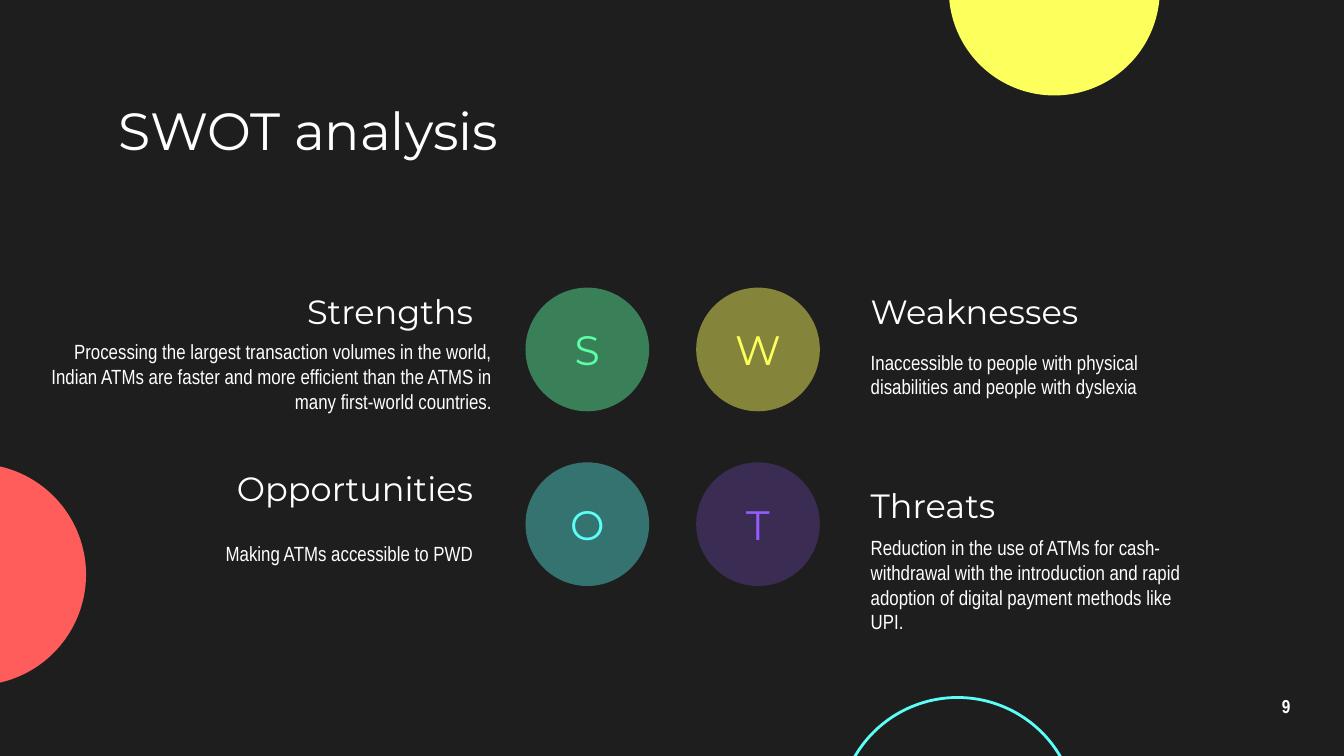
"""Build a SWOT analysis slide with four lettered circles and their notes."""
from lxml import etree
from pptx import Presentation
from pptx.dml.color import RGBColor
from pptx.enum.shapes import MSO_SHAPE
from pptx.enum.text import MSO_ANCHOR, MSO_AUTO_SIZE, PP_ALIGN
from pptx.oxml.ns import qn
from pptx.util import Inches, Pt

OVAL = MSO_SHAPE.OVAL
MIDDLE = MSO_ANCHOR.MIDDLE
NO_AUTOFIT = MSO_AUTO_SIZE.NONE
LEFT, CENTER, RIGHT = PP_ALIGN.LEFT, PP_ALIGN.CENTER, PP_ALIGN.RIGHT

DARK = RGBColor(0x1E, 0x1E, 0x1E)
WHITE = RGBColor(0xFF, 0xFF, 0xFF)
YELLOW = RGBColor(0xFD, 0xFF, 0x5C)
RED = RGBColor(0xFF, 0x5C, 0x5C)
CYAN = RGBColor(0x5C, 0xFF, 0xF8)
GREEN = RGBColor(0x5C, 0xFF, 0xA6)
PURPLE = RGBColor(0x95, 0x5C, 0xFF)

HEADING_FONT = "Montserrat"
BODY_FONT = "Arial Narrow"

TITLE = "SWOT analysis"
PAGE_NUMBER = "9"

DECORATIONS = [
    {"box": (7.06, -0.86, 1.57, 1.57), "fill": YELLOW},
    {"box": (-1.01, 3.45, 1.65, 1.65), "fill": RED},
    {"box": (6.24, 5.19, 1.77, 1.77), "outline": CYAN},
]

QUADRANTS = [
    {"heading": "Strengths", "color": GREEN, "opacity": 44,
     "heading_top": 2.14, "note_box": (0.22, 2.42, 3.54, 0.76),
     "note": "Processing the largest transaction volumes in the world, Indian ATMs are "
             "faster and more efficient than the ATMS in many first-world countries."},
    {"heading": "Weaknesses", "color": YELLOW, "opacity": 46,
     "heading_top": 2.14, "note_box": (6.38, 2.43, 2.51, 0.71),
     "note": "Inaccessible to people with physical disabilities and people with dyslexia"},
    {"heading": "Opportunities", "color": CYAN, "opacity": 38,
     "heading_top": 3.46, "note_box": (1.11, 3.65, 2.51, 0.94),
     "note": "Making ATMs accessible to PWD"},
    {"heading": "Threats", "color": PURPLE, "opacity": 24,
     "heading_top": 3.58, "note_box": (6.38, 3.8, 2.51, 1.1),
     "note": "Reduction in the use of ATMs for cash-withdrawal with the introduction and "
             "rapid adoption of digital payment methods like UPI."},
]

SLIDE_WIDTH = Inches(10)
SLIDE_HEIGHT = SLIDE_WIDTH * 9 // 16
CIRCLE_LEFT, CIRCLE_TOP, CIRCLE_SIZE = 3.91, 2.14, 0.92
COLUMN_STEP, ROW_STEP = 1.27, 1.3
HEADING_LEFTS = (1.11, 6.38)
HEADING_WIDTH, HEADING_HEIGHT = 2.51, 0.35
SIDE_ALIGNS = (RIGHT, LEFT)


def inches(box):
    return [Inches(length) for length in box]


def write(shape, text, *, font, size, color=WHITE, align=LEFT, bold=False,
          spacing=None, inset=0.1):
    frame = shape.text_frame
    frame.word_wrap = True
    frame.auto_size = NO_AUTOFIT
    frame.vertical_anchor = MIDDLE
    frame.margin_left = frame.margin_right = Inches(inset)
    frame.margin_top = frame.margin_bottom = Inches(inset)
    frame.text = text
    paragraph = frame.paragraphs[0]
    paragraph.alignment = align
    if spacing:
        paragraph.line_spacing = spacing
    run_font = paragraph.runs[0].font
    run_font.name = font
    run_font.size = Pt(size)
    run_font.bold = bold
    run_font.color.rgb = color


def add_circle(slide, box, fill=None, outline=None, opacity=100):
    circle = slide.shapes.add_shape(OVAL, *inches(box))
    circle.shadow.inherit = False
    if fill is None:
        circle.fill.background()
    else:
        circle.fill.solid()
        circle.fill.fore_color.rgb = fill
    if outline is None:
        circle.line.fill.background()
    else:
        circle.line.color.rgb = outline
        circle.line.width = Pt(1.5)
    if opacity < 100:
        tint = circle.element.spPr.find(qn("a:solidFill"))[0]
        etree.SubElement(tint, qn("a:alpha"), val=str(opacity * 1000))
    return circle


def add_quadrant(slide, index, quadrant):
    row, column = divmod(index, 2)
    heading, color = quadrant["heading"], quadrant["color"]
    align = SIDE_ALIGNS[column]

    circle_box = (CIRCLE_LEFT + column * COLUMN_STEP, CIRCLE_TOP + row * ROW_STEP,
                  CIRCLE_SIZE, CIRCLE_SIZE)
    circle = add_circle(slide, circle_box, fill=color, opacity=quadrant["opacity"])
    inset = 0 if heading.startswith("W") else 0.1
    write(circle, heading[0], font=HEADING_FONT, size=22, color=color,
          align=CENTER, inset=inset)

    heading_box = (HEADING_LEFTS[column], quadrant["heading_top"],
                   HEADING_WIDTH, HEADING_HEIGHT)
    write(slide.shapes.add_textbox(*inches(heading_box)), heading,
          font=HEADING_FONT, size=18, align=align)
    write(slide.shapes.add_textbox(*inches(quadrant["note_box"])), quadrant["note"],
          font=BODY_FONT, size=11, align=align)


def main():
    deck = Presentation()
    deck.slide_width, deck.slide_height = SLIDE_WIDTH, SLIDE_HEIGHT
    slide = deck.slides.add_slide(deck.slide_layouts[5])
    slide.background.fill.solid()
    slide.background.fill.fore_color.rgb = DARK

    for decoration in DECORATIONS:
        add_circle(slide, **decoration)

    title = slide.shapes.title
    title.left, title.top, title.width, title.height = inches((0.78, 0.71, 8.44, 0.51))
    write(title, TITLE, font=HEADING_FONT, size=28)

    for index, quadrant in enumerate(QUADRANTS):
        add_quadrant(slide, index, quadrant)

    page_number = slide.shapes.add_textbox(*inches((9.27, 5.1, 0.6, 0.34)))
    write(page_number, PAGE_NUMBER, font=BODY_FONT, size=10, align=CENTER,
          bold=True, spacing=0.8)

    deck.save("out.pptx")


if __name__ == "__main__":
    main()
